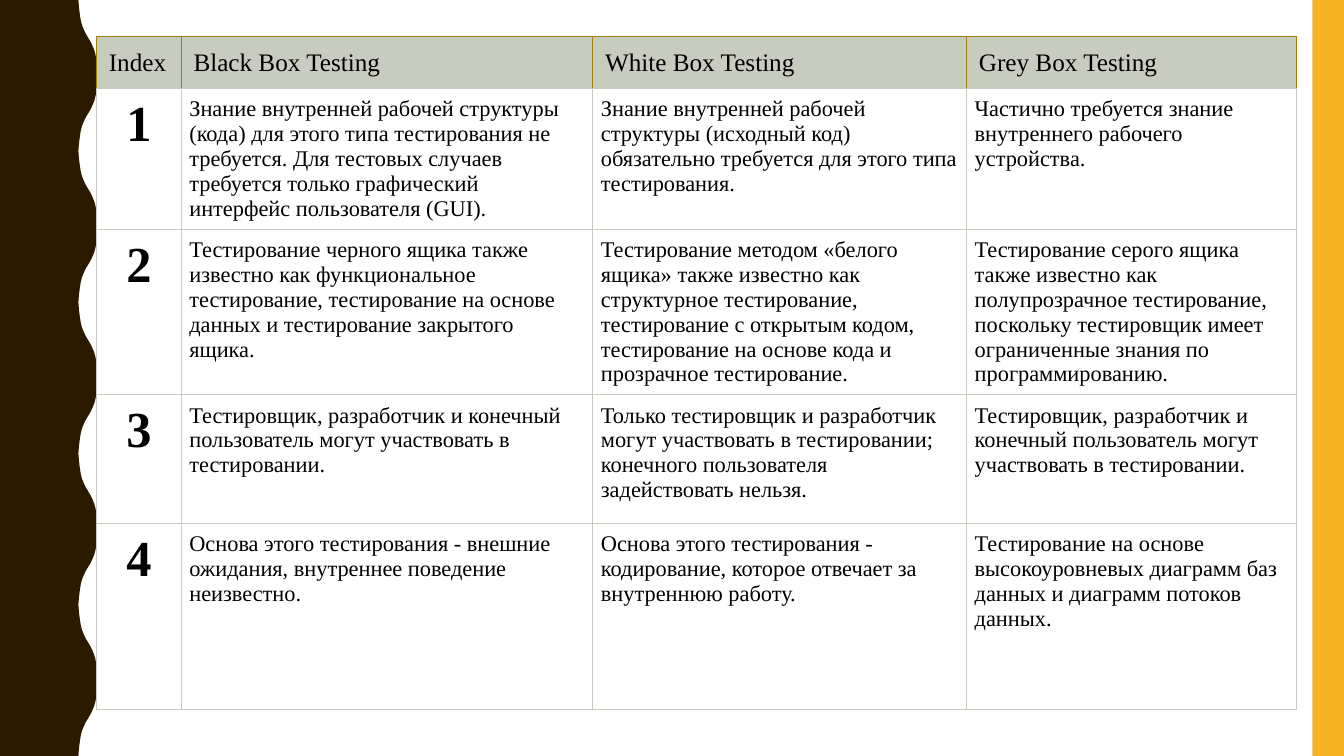
from lxml import etree
from pptx import Presentation
from pptx.dml.color import RGBColor
from pptx.enum import shapes, text
from pptx.oxml.ns import qn
from pptx.util import Pt

FONT = "Times New Roman"
BROWN, AMBER, SAGE, OLIVE = "2A1A00", "F8B323", "C7CCBE", "A0800A"
WIDTH, HEIGHT = 960, 540
COLUMNS = [60.5, 294, 267, 235.5]
ROWS = [34, 91.5, 108, 92, 132.5]
HEADERS = ["Index", "Black Box Testing", "White Box Testing", "Grey Box Testing"]
COMPARISON = [
    ["Знание внутренней рабочей структуры (кода) для этого типа тестирования не "
     "требуется. Для тестовых случаев требуется только графический интерфейс "
     "пользователя (GUI).",
     "Знание внутренней рабочей структуры (исходный код) обязательно требуется "
     "для этого типа тестирования.",
     "Частично требуется знание внутреннего рабочего устройства."],
    ["Тестирование черного ящика также известно как функциональное тестирование, "
     "тестирование на основе данных и тестирование закрытого ящика.",
     "Тестирование методом «белого ящика» также известно как структурное "
     "тестирование, тестирование с открытым кодом, тестирование на основе кода и "
     "прозрачное тестирование.",
     "Тестирование серого ящика также известно как полупрозрачное тестирование, "
     "поскольку тестировщик имеет ограниченные знания по программированию."],
    ["Тестировщик, разработчик и конечный пользователь могут участвовать в "
     "тестировании.",
     "Только тестировщик и разработчик могут участвовать в тестировании; "
     "конечного пользователя задействовать нельзя.",
     "Тестировщик, разработчик и конечный пользователь могут участвовать в "
     "тестировании."],
    ["Основа этого тестирования - внешние ожидания, внутреннее поведение "
     "неизвестно.",
     "Основа этого тестирования - кодирование, которое отвечает за внутреннюю "
     "работу.",
     "Тестирование на основе высокоуровневых диаграмм баз данных и диаграмм "
     "потоков данных."],
]
# First quarter of one wave; the rest follows by symmetry.
QUARTER = [(56, 0), (56.4, 5), (57, 10), (57.7, 14.5), (58.6, 18), (59.8, 21),
           (61.2, 24), (63, 27)]
PERIOD = 108


def color(value):
    return RGBColor.from_string(value)


def paint(sp, fill):
    sp.shadow.inherit = False
    sp.fill.solid()
    sp.fill.fore_color.rgb = color(fill)
    sp.line.fill.background()


def add_wave(s):
    half = QUARTER + [(126 - x, 54 - y) for x, y in QUARTER[-2::-1]]
    wave = half + [(x, PERIOD - y) for x, y in half[-2::-1]]
    edge = [(x, y + PERIOD * i) for i in range(HEIGHT // PERIOD) for x, y in wave]
    builder = s.shapes.build_freeform(0, 0)
    builder.add_line_segments([(Pt(x), Pt(y)) for x, y in edge + [(0, HEIGHT)]])
    paint(builder.convert_to_shape(), BROWN)


def add_bar(s):
    sp = s.shapes.add_shape(shapes.MSO_SHAPE.RECTANGLE,
                            Pt(937.5), 0, Pt(22.5), Pt(HEIGHT))
    paint(sp, AMBER)


def set_borders(cell, colors):
    """Draw the left, right, top and bottom borders, in that order."""
    props = cell._tc.get_or_add_tcPr()
    for i, (side, value) in enumerate(zip("LRTB", colors)):
        line = etree.Element(qn(f"a:ln{side}"), w=str(Pt(0.75)))
        fill = etree.SubElement(line, qn("a:solidFill"))
        etree.SubElement(fill, qn("a:srgbClr"), val=value)
        props.insert(i, line)


def fill_cell(cell, words, size, inset, fill, borders, bold=False, align=None):
    cell.margin_left = cell.margin_right = Pt(inset)
    cell.margin_top = cell.margin_bottom = Pt(inset)
    cell.fill.solid()
    cell.fill.fore_color.rgb = color(fill)
    set_borders(cell, borders)
    cell.text = words
    p = cell.text_frame.paragraphs[0]
    p.alignment = align
    p.font.name, p.font.size, p.font.bold = FONT, Pt(size), bold
    p.font.color.rgb = color("000000")


def add_comparison(s):
    table = s.shapes.add_table(len(ROWS), len(COLUMNS), Pt(69), Pt(26),
                               Pt(sum(COLUMNS)), Pt(sum(ROWS))).table
    table.first_row = table.horz_banding = False
    for column, width in zip(table.columns, COLUMNS):
        column.width = Pt(width)
    for row, height in zip(table.rows, ROWS):
        row.height = Pt(height)
    for c, header in enumerate(HEADERS):
        fill_cell(table.cell(0, c), header, 18, 8.75, SAGE, [OLIVE] * 3 + [SAGE])
    for r, entries in enumerate(COMPARISON, 1):
        fill_cell(table.cell(r, 0), str(r), 36, 5.8, "FFFFFF", [SAGE] * 4,
                  bold=True, align=text.PP_ALIGN.CENTER)
        for c, entry in enumerate(entries, 1):
            fill_cell(table.cell(r, c), entry, 16, 5.8, "FFFFFF", [SAGE] * 4)


def main():
    prs = Presentation()
    prs.slide_width, prs.slide_height = Pt(WIDTH), Pt(HEIGHT)
    s = prs.slides.add_slide(prs.slide_layouts[6])
    add_wave(s)
    add_bar(s)
    add_comparison(s)
    prs.save("out.pptx")


if __name__ == "__main__":
    main()
